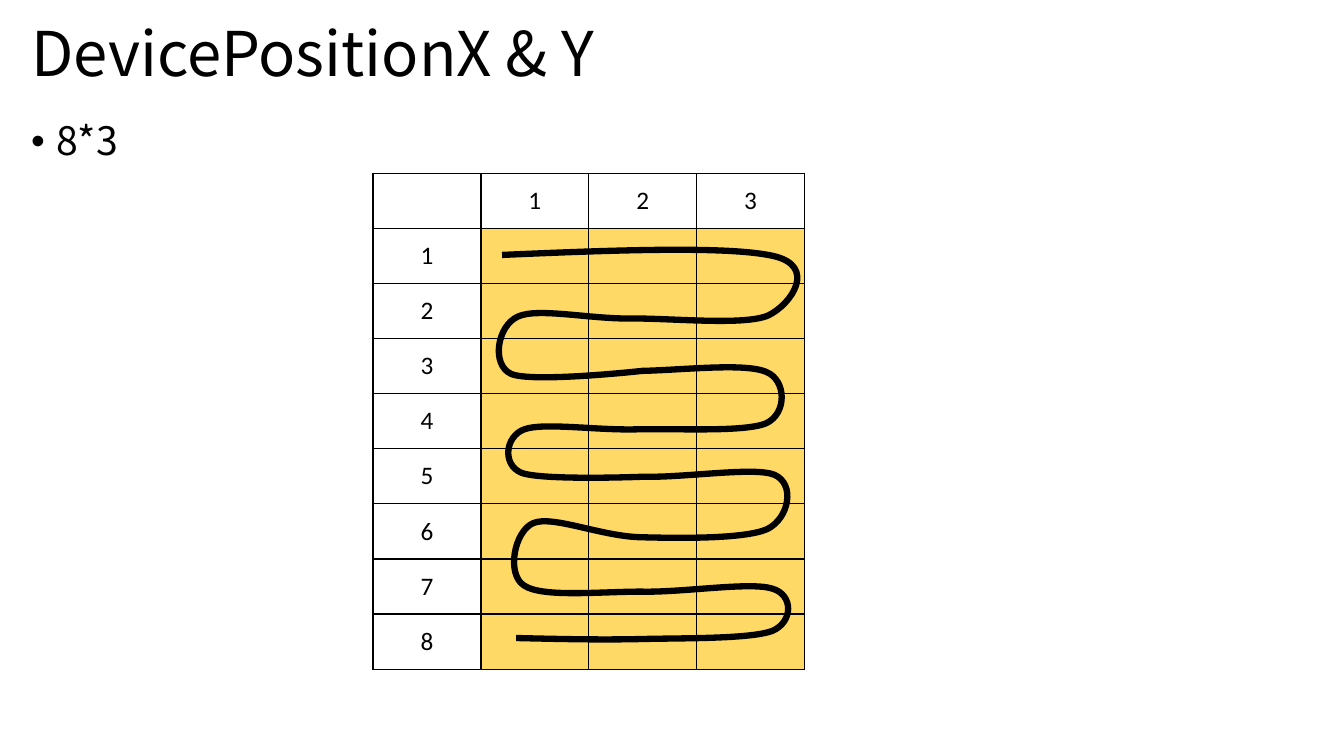
from lxml import etree
from pptx import Presentation
from pptx.dml.color import RGBColor
from pptx.enum import text
from pptx.oxml import ns
from pptx.util import Inches, Pt

BLACK = RGBColor(0x00, 0x00, 0x00)
AMBER = RGBColor(0xFF, 0xD9, 0x66)
HEADING_FONT = "Noto Sans CJK SC"
TABLE_FONT = "Calibri"

ROWS, COLUMNS = 8, 3

# Scan route: start, then cubic segments (two control points and an end)
ROUTE_START = (4.98, 2.53)
ROUTE = [
    ((6.11, 2.48), (7.23, 2.44), (7.67, 2.54)),
    ((8.11, 2.64), (7.85, 3.02), (7.62, 3.13)),
    ((7.39, 3.23), (6.7, 3.16), (6.28, 3.16)),
    ((5.87, 3.17), (5.34, 3.05), (5.14, 3.14)),
    ((4.93, 3.23), (4.87, 3.62), (5.07, 3.71)),
    ((5.28, 3.8), (6.37, 3.68), (6.37, 3.68)),
    ((6.79, 3.67), (7.39, 3.6), (7.6, 3.69)),
    ((7.8, 3.77), (7.81, 4.1), (7.6, 4.2)),
    ((7.38, 4.29), (6.71, 4.25), (6.31, 4.26)),
    ((5.91, 4.27), (5.39, 4.19), (5.2, 4.26)),
    ((5.01, 4.33), (4.98, 4.61), (5.17, 4.69)),
    ((5.37, 4.77), (6.38, 4.73), (6.38, 4.73)),
    ((6.8, 4.74), (7.48, 4.63), (7.68, 4.71)),
    ((7.89, 4.8), (7.83, 5.14), (7.61, 5.25)),
    ((7.38, 5.35), (6.73, 5.34), (6.35, 5.33)),
    ((5.96, 5.32), (5.48, 5.11), (5.29, 5.19)),
    ((5.1, 5.27), (5.02, 5.7), (5.2, 5.81)),
    ((5.38, 5.93), (5.95, 5.87), (6.36, 5.87)),
    ((6.77, 5.88), (7.44, 5.77), (7.66, 5.84)),
    ((7.87, 5.9), (7.87, 6.17), (7.66, 6.26)),
    ((7.44, 6.34), (6.79, 6.33), (6.37, 6.34)),
    ((5.95, 6.35), (5.54, 6.34), (5.12, 6.33)),
]


class PositionSlide:
    def __init__(self, deck):
        self.slide = deck.slides.add_slide(deck.slide_layouts[5])
        self.shapes = self.slide.shapes

    def style(self, paragraph, font, size, align):
        paragraph.alignment = align
        paragraph.font.name = font
        paragraph.font.size = Pt(size)
        paragraph.font.color.rgb = BLACK

    def title(self, wording, left, top, width, height):
        heading = self.shapes.title
        heading.left, heading.top = Inches(left), Inches(top)
        heading.width, heading.height = Inches(width), Inches(height)
        frame = heading.text_frame
        frame.text = wording
        frame.vertical_anchor = text.MSO_ANCHOR.MIDDLE
        frame.auto_size = text.MSO_AUTO_SIZE.NONE
        paragraph = frame.paragraphs[0]
        paragraph.line_spacing = 0.9
        self.style(paragraph, HEADING_FONT, 44, text.PP_ALIGN.LEFT)

    def bullet(self, wording, left, top, width, height):
        body = self.shapes.add_textbox(
            Inches(left), Inches(top), Inches(width), Inches(height))
        body.text_frame.word_wrap = True
        paragraph = body.text_frame.paragraphs[0]
        paragraph.text = wording
        paragraph.line_spacing = 0.9
        paragraph.space_before = Pt(10)
        self.style(paragraph, HEADING_FONT, 28, text.PP_ALIGN.LEFT)
        properties = paragraph._p.get_or_add_pPr()
        properties.set("marL", str(Inches(0.25)))
        properties.set("indent", str(Inches(-0.25)))
        etree.SubElement(properties, ns.qn("a:buFont"), typeface="Arial")
        etree.SubElement(properties, ns.qn("a:buChar"), char="•")
        # Bullet marks come before the default run style
        properties.append(properties.find(ns.qn("a:defRPr")))

    def borders(self, cell):
        properties = cell._tc.get_or_add_tcPr()
        for side in ("a:lnL", "a:lnR", "a:lnT", "a:lnB"):
            line = etree.SubElement(properties, ns.qn(side), w=str(Pt(1)))
            fill = etree.SubElement(line, ns.qn("a:solidFill"))
            etree.SubElement(fill, ns.qn("a:srgbClr"), val=str(BLACK))

    def position_table(self, left, top, width, height):
        grid = self.shapes.add_table(
            ROWS + 1, COLUMNS + 1, Inches(left), Inches(top),
            Inches(width), Inches(height)).table
        grid.first_row = grid.horz_banding = False
        for row in range(ROWS + 1):
            for column in range(COLUMNS + 1):
                cell = grid.cell(row, column)
                cell.vertical_anchor = text.MSO_ANCHOR.MIDDLE
                self.borders(cell)
                if row and column:
                    cell.fill.solid()
                    cell.fill.fore_color.rgb = AMBER
                    continue
                cell.fill.background()
                if row or column:
                    cell.text = str(row + column)
                    self.style(cell.text_frame.paragraphs[0],
                               TABLE_FONT, 18, text.PP_ALIGN.CENTER)

    def route(self, start, segments, weight, left, top, width, height):
        # The diagonal sets the frame; the curves then take its place
        builder = self.shapes.build_freeform(Inches(left), Inches(top))
        builder.add_line_segments(
            [(Inches(left + width), Inches(top + height))], close=False)
        track = builder.convert_to_shape()
        outline = next(track._element.iter(ns.qn("a:path")))
        for step in list(outline):
            outline.remove(step)
        steps = [("a:moveTo", [start])]
        steps += [("a:cubicBezTo", points) for points in segments]
        for tag, points in steps:
            step = etree.SubElement(outline, ns.qn(tag))
            for x, y in points:
                etree.SubElement(step, ns.qn("a:pt"),
                                 x=str(Inches(x - left)), y=str(Inches(y - top)))
        track.shadow.inherit = False
        track.fill.background()
        track.line.color.rgb = BLACK
        track.line.width = Pt(weight)


def main():
    deck = Presentation()
    deck.slide_width, deck.slide_height = Inches(13.33), Inches(7.5)
    page = PositionSlide(deck)

    # Heading and grid size
    page.title("DevicePositionX & Y", 0.21, 0.15, 12.84, 0.82)
    page.bullet("8*3", 0.21, 1.16, 12.84, 5.6)

    # Device grid with the scan route over it
    page.position_table(3.7, 1.72, 4.28, 4.92)
    page.route(ROUTE_START, ROUTE, 4.5, 4.95, 2.48, 2.96, 3.87)

    deck.save("out.pptx")


if __name__ == "__main__":
    main()
